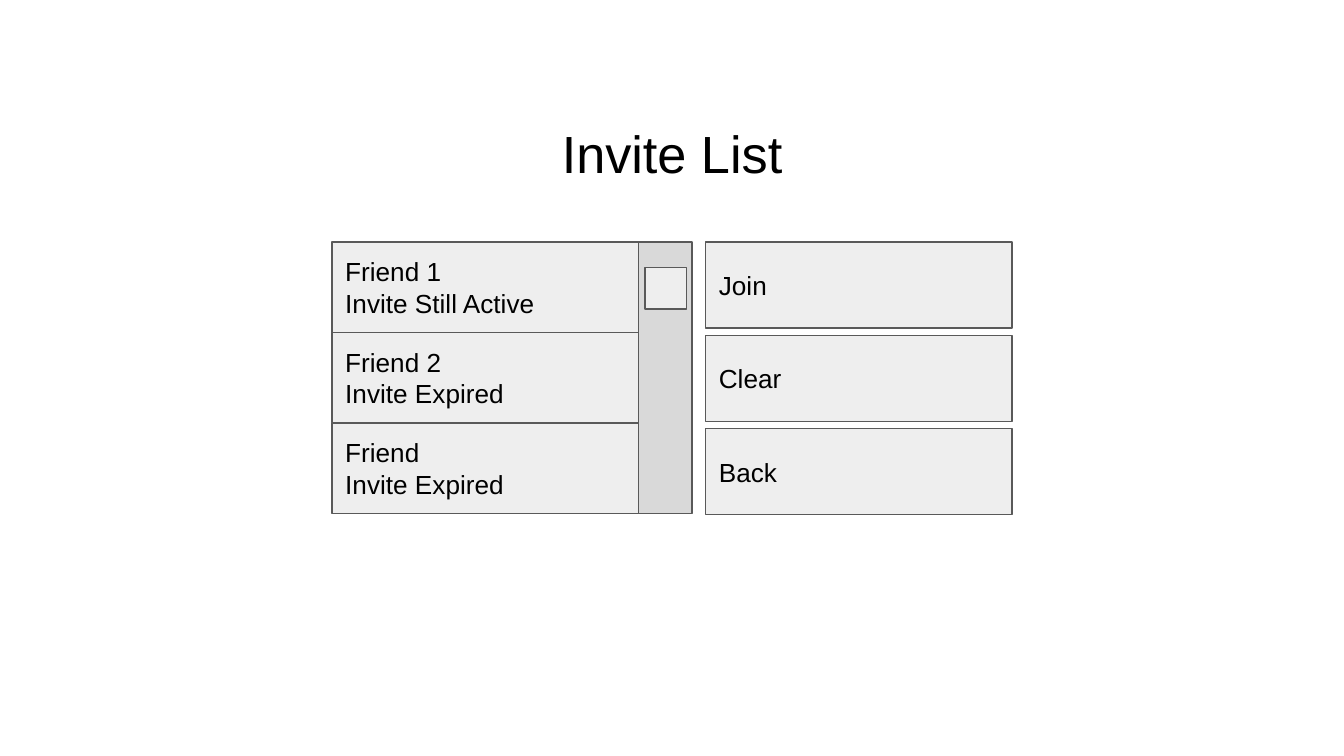
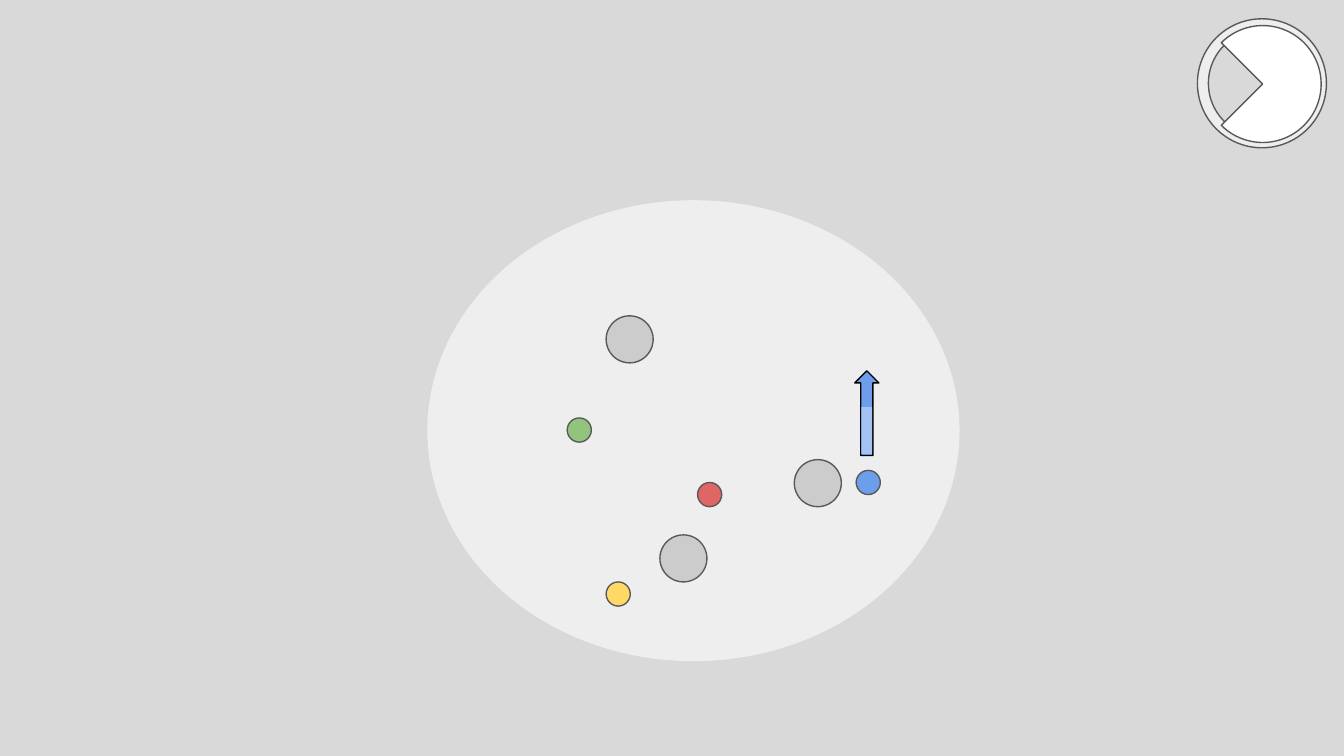
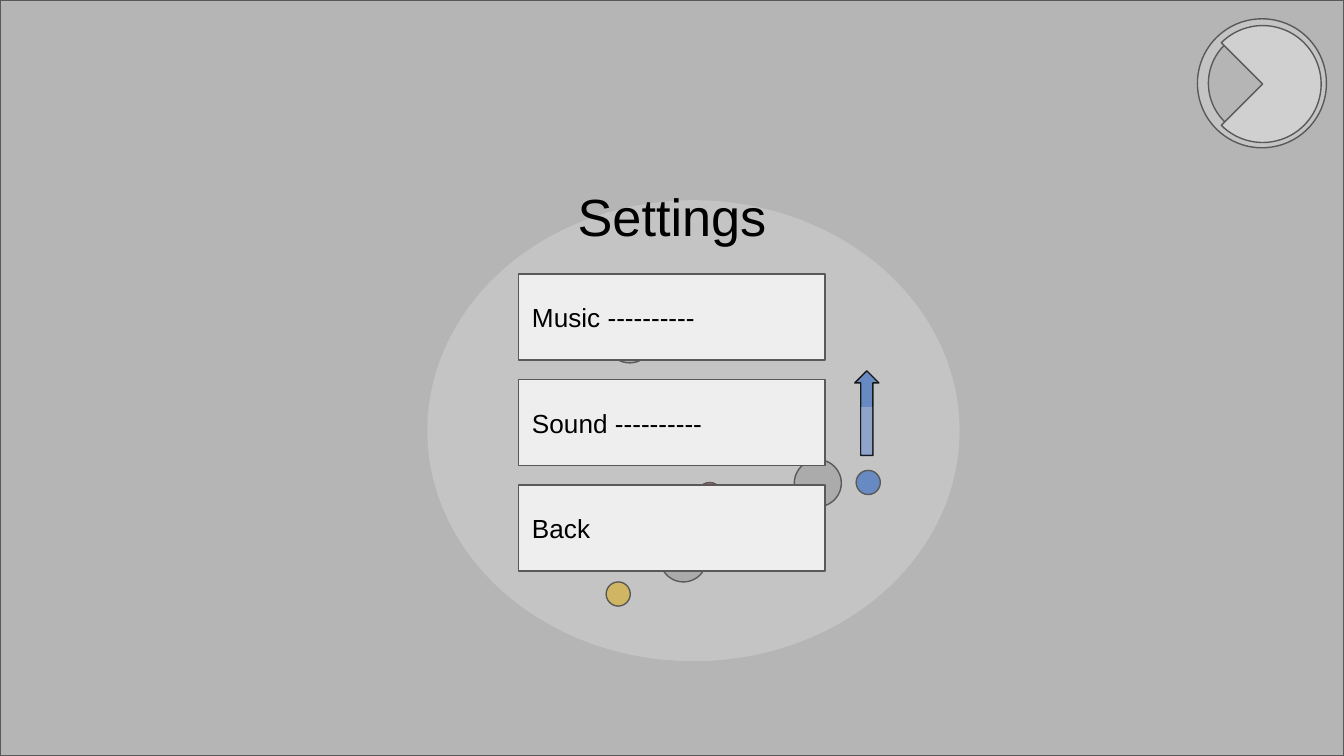
from lxml import etree
from pptx import Presentation
from pptx.dml.color import RGBColor
from pptx.enum.shapes import MSO_SHAPE
from pptx.enum.text import MSO_ANCHOR, MSO_AUTO_SIZE, PP_ALIGN
from pptx.oxml.ns import qn
from pptx.util import Inches, Pt

RECT, OVAL = MSO_SHAPE.RECTANGLE, MSO_SHAPE.OVAL
UP_ARROW, DONUT, PIE = MSO_SHAPE.UP_ARROW, MSO_SHAPE.DONUT, MSO_SHAPE.PIE
LEFT, CENTER = PP_ALIGN.LEFT, PP_ALIGN.CENTER
TOP, MIDDLE = MSO_ANCHOR.TOP, MSO_ANCHOR.MIDDLE
NO_AUTOFIT = MSO_AUTO_SIZE.NONE

TITLE_ONLY, BLANK = 5, 6
SLIDE_W = 10
SLIDE_H = SLIDE_W * 9 / 16
FONT = "Arial"
WHITE, BLACK, OUTLINE = "FFFFFF", "000000", "595959"
PANEL, GROUND, STONE = "EEEEEE", "D9D9D9", "CCCCCC"
GREEN, RED, BLUE, YELLOW = "93C47D", "E06666", "6D9EEB", "FFD966"
LIGHT_BLUE = "A4C2F4"

BUTTON_W, BUTTON_H = 2.28, 0.64
STONE_SIZE, PLAYER_SIZE = 0.35, 0.18
ARENA_BOX = (3.18, 1.49, 3.96, 3.43)
STONES = [(2.73, 1.93), (1.73, 2.49), (1.33, 0.86)]
PLAYERS = {GREEN: (1.04, 1.62), RED: (2.01, 2.1),
           BLUE: (3.19, 2.01), YELLOW: (1.33, 2.84)}


def paint(color_format, color):
    color_format.rgb = RGBColor.from_string(color)


def set_background(slide, color):
    fill = slide.background.fill
    fill.solid()
    paint(fill.fore_color, color)


def add_part(slide, kind, box, fill, line=OUTLINE):
    part = slide.shapes.add_shape(kind, *map(Inches, box))
    part.shadow.inherit = False
    part.fill.solid()
    paint(part.fill.fore_color, fill)
    if line:
        paint(part.line.color, line)
        part.line.width = Pt(0.75)
    else:
        part.line.fill.background()
    return part


def write_lines(frame, lines, size, align, anchor):
    frame.word_wrap = True
    frame.auto_size = NO_AUTOFIT
    frame.vertical_anchor = anchor
    frame.margin_left = frame.margin_right = Inches(0.1)
    frame.margin_top = frame.margin_bottom = Inches(0.1)
    for index, line in enumerate(lines):
        paragraph = frame.add_paragraph() if index else frame.paragraphs[0]
        paragraph.alignment = align
        run = paragraph.add_run()
        run.text = line
        run.font.name = FONT
        run.font.size = Pt(size)
        paint(run.font.color, BLACK)


def place_title(slide, text, top):
    title = slide.shapes.title
    title.left, title.top = Inches(0.34), Inches(top)
    title.width, title.height = Inches(9.32), Inches(0.63)
    write_lines(title.text_frame, [text], 28, CENTER, TOP)
    title.element.getparent().append(title.element)


def add_buttons(slide, box, labels, button_height):
    left, top, width, height = box
    step = (height - button_height) / (len(labels) - 1)
    for row, lines in enumerate(labels):
        button = add_part(slide, RECT, (left, top + row * step, width, button_height), PANEL)
        write_lines(button.text_frame, lines, 14, LEFT, MIDDLE)


def add_invites(slide, box, invites):
    left, top, width, height = box
    bar_width = width - BUTTON_W
    add_buttons(slide, (left, top, BUTTON_W, height), invites, height / len(invites))
    bar_left = left + BUTTON_W
    add_part(slide, RECT, (bar_left, top, bar_width, height), GROUND)
    add_part(slide, RECT, (bar_left + 0.05, top + 0.19, 0.31, 0.31), PANEL)


def add_arena(slide, box, player_colors):
    left, top = box[:2]
    add_part(slide, OVAL, box, PANEL, None)
    for x, y in STONES:
        add_part(slide, OVAL, (left + x, top + y, STONE_SIZE, STONE_SIZE), STONE)
    for color in player_colors:
        x, y = PLAYERS[color]
        add_part(slide, OVAL, (left + x, top + y, PLAYER_SIZE, PLAYER_SIZE), color)
    add_part(slide, UP_ARROW, (left + 3.18, top + 1.27, 0.18, 0.63), BLUE, BLACK)
    add_part(slide, RECT, (left + 3.23, top + 1.54, 0.08, 0.35), LIGHT_BLUE, None)


def add_timer(slide, left, top, size):
    ring = add_part(slide, DONUT, (left, top, size, size), PANEL)
    ring.adjustments[0] = 0.085
    inset = 0.05
    face_size = size - 0.09
    face = add_part(slide, PIE, (left + inset, top + inset, face_size, face_size), WHITE)
    face.rotation = 225


def add_game(slide, player_colors):
    set_background(slide, GROUND)
    add_arena(slide, ARENA_BOX, player_colors)
    add_timer(slide, 8.91, 0.14, 0.96)


def add_dimmer(slide):
    dimmer = add_part(slide, RECT, (0, 0, SLIDE_W, SLIDE_H), OUTLINE)
    color = dimmer.element.spPr.find(qn("a:solidFill"))[0]
    etree.SubElement(color, qn("a:alpha"), val="28000")


def build_invite_list(slide):
    set_background(slide, WHITE)
    place_title(slide, "Invite List", 0.8)
    add_invites(slide, (2.47, 1.8, 2.68, 2.02), [
        ["Friend 1", "Invite Still Active"],
        ["Friend 2", "Invite Expired"],
        ["Friend", "Invite Expired"],
    ])
    add_buttons(slide, (5.25, 1.8, BUTTON_W, 2.03), [["Join"], ["Clear"], ["Back"]], BUTTON_H)


def build_settings(slide):
    add_game(slide, [RED, BLUE, YELLOW])
    add_dimmer(slide)
    place_title(slide, "Settings", 1.27)
    add_buttons(slide, (3.86, 2.04, BUTTON_W, 2.21),
                [["Music ----------"], ["Sound ----------"], ["Back"]], BUTTON_H)


def main():
    deck = Presentation()
    deck.slide_width, deck.slide_height = Inches(SLIDE_W), Inches(SLIDE_H)
    layouts = deck.slide_layouts
    build_invite_list(deck.slides.add_slide(layouts[TITLE_ONLY]))
    add_game(deck.slides.add_slide(layouts[BLANK]), PLAYERS)
    build_settings(deck.slides.add_slide(layouts[TITLE_ONLY]))
    deck.save("out.pptx")


if __name__ == "__main__":
    main()
